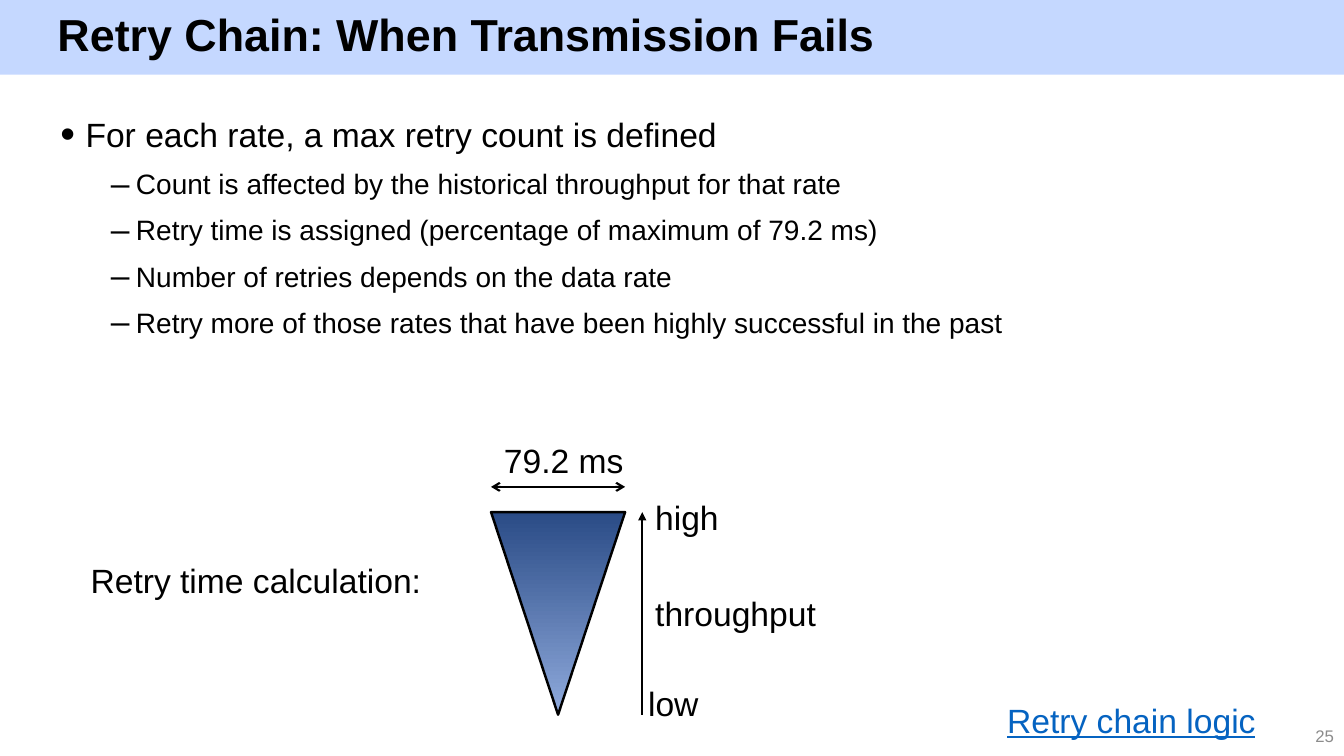
"""Build the slide explaining the retry chain and its retry time calculation."""
import dataclasses
import typing

import pptx
import pptx.dml.color
import pptx.enum.dml
import pptx.enum.shapes
import pptx.enum.text
import pptx.oxml
import pptx.oxml.ns
import pptx.presentation
import pptx.shapes.connector
import pptx.slide
import pptx.text.text
import pptx.util
from lxml import etree

Inches = pptx.util.Inches
Pt = pptx.util.Pt
RGBColor = pptx.dml.color.RGBColor

BLACK = RGBColor(0x00, 0x00, 0x00)
GRAY = RGBColor(0x8C, 0x8C, 0x8C)
LINK_BLUE = RGBColor(0x05, 0x63, 0xC1)
BAND_BLUE = RGBColor(0xC5, 0xD8, 0xFF)
DARK_BLUE = RGBColor(0x2A, 0x4B, 0x86)
LIGHT_BLUE = RGBColor(0x8F, 0xAA, 0xDC)
FONT = "Arial"
SLIDE_WIDTH = 13.33
BAND_HEIGHT = 0.74
FUNNEL_LEFT, FUNNEL_TOP = 4.87, 5.08
FUNNEL_WIDTH, FUNNEL_HEIGHT = 1.33, 2.01


@dataclasses.dataclass(frozen=True)
class Label:
    text: str
    left: float
    top: float
    width: float
    height: float = 0.5
    size: int = 24
    color: RGBColor = BLACK
    underline: bool = False
    align: pptx.enum.text.PP_ALIGN = pptx.enum.text.PP_ALIGN.LEFT
    anchor: pptx.enum.text.MSO_ANCHOR = pptx.enum.text.MSO_ANCHOR.TOP


@dataclasses.dataclass(frozen=True)
class Arrow:
    start: tuple[float, float]
    end: tuple[float, float]
    head: typing.Optional[str]
    tail: str


@dataclasses.dataclass(frozen=True)
class BulletStyle:
    character: str
    percent: int
    indent: float
    size: int


BULLET_STYLES = (BulletStyle("•", 125, 0.25, 24), BulletStyle("–", 120, 0.75, 20))
BULLETS = (
    (0, "For each rate, a max retry count is defined"),
    (1, "Count is affected by the historical throughput for that rate"),
    (1, "Retry time is assigned (percentage of maximum of 79.2 ms)"),
    (1, "Number of retries depends on the data rate"),
    (1, "Retry more of those rates that have been highly successful in the past"),
)
LABELS = (
    Label("25", 10.33, 7.1, 3, 0.4, 12, GRAY, False,
          pptx.enum.text.PP_ALIGN.RIGHT, pptx.enum.text.MSO_ANCHOR.MIDDLE),
    Label("Retry chain logic", 9.89, 6.89, 3.08, color=LINK_BLUE, underline=True),
    Label("79.2 ms", 4.9, 4.32, 1.56),
    Label("low", 6.33, 6.73, 1.33),
    Label("throughput", 6.4, 5.83, 2.09),
    Label("high", 6.4, 4.88, 1.33),
    Label("Retry time calculation:", 0.8, 5.51, 3.76),
)
ARROWS = (
    Arrow((6.37, FUNNEL_TOP + FUNNEL_HEIGHT), (6.37, FUNNEL_TOP), None, "triangle"),
    Arrow((FUNNEL_LEFT, 4.83), (FUNNEL_LEFT + FUNNEL_WIDTH, 4.83), "arrow", "arrow"),
)


def format_runs(paragraph: pptx.text.text._Paragraph, size: int, color: RGBColor,
                bold: bool = False, underline: bool = False) -> None:
    for run in paragraph.runs:
        run.font.name = FONT
        run.font.size = Pt(size)
        run.font.bold = bold
        run.font.underline = underline
        run.font.color.rgb = color


def add_band(slide: pptx.slide.Slide) -> None:
    band = slide.shapes.add_shape(
        pptx.enum.shapes.MSO_SHAPE.RECTANGLE,
        0, 0, Inches(SLIDE_WIDTH), Inches(BAND_HEIGHT))
    band.shadow.inherit = False
    band.fill.solid()
    band.fill.fore_color.rgb = BAND_BLUE
    band.line.fill.background()
    slide.shapes._spTree.insert(2, band._element)


def set_title(slide: pptx.slide.Slide, text: str) -> None:
    title = slide.shapes.title
    title.left, title.top = Inches(0.33), Inches(0)
    title.width, title.height = Inches(12.33), Inches(BAND_HEIGHT)
    frame = title.text_frame
    frame.text = text
    frame.word_wrap = True
    frame.auto_size = pptx.enum.text.MSO_AUTO_SIZE.NONE
    frame.vertical_anchor = pptx.enum.text.MSO_ANCHOR.MIDDLE
    frame.margin_left, frame.margin_right = Inches(0.24), Inches(0.2)
    paragraph = frame.paragraphs[0]
    paragraph.alignment = pptx.enum.text.PP_ALIGN.LEFT
    paragraph.line_spacing = 0.9
    format_runs(paragraph, 32, BLACK, bold=True)


def add_bullets(slide: pptx.slide.Slide) -> None:
    box = slide.shapes.add_textbox(Inches(0.5), Inches(1.08), Inches(11.92), Inches(5.83))
    frame = box.text_frame
    frame.word_wrap = True
    frame.text = "\n".join(text for _, text in BULLETS)
    for index, (level, _) in enumerate(BULLETS):
        paragraph = frame.paragraphs[index]
        style = BULLET_STYLES[level]
        paragraph.level = level
        properties = paragraph._p.get_or_add_pPr()
        properties.set("marL", str(Inches(style.indent)))
        properties.set("indent", str(Inches(-0.25)))
        for tag, name, value in (
                ("a:buSzPct", "val", str(style.percent * 1000)),
                ("a:buFont", "typeface", FONT),
                ("a:buChar", "char", style.character)):
            etree.SubElement(properties, pptx.oxml.ns.qn(tag)).set(name, value)
        paragraph.space_before = Pt(9 if index else 0)
        format_runs(paragraph, style.size, BLACK)


def add_label(slide: pptx.slide.Slide, label: Label) -> None:
    box = slide.shapes.add_textbox(
        Inches(label.left), Inches(label.top), Inches(label.width), Inches(label.height))
    frame = box.text_frame
    frame.word_wrap = True
    frame.vertical_anchor = label.anchor
    frame.text = label.text
    paragraph = frame.paragraphs[0]
    paragraph.alignment = label.align
    format_runs(paragraph, label.size, label.color, underline=label.underline)


def add_funnel(slide: pptx.slide.Slide) -> None:
    funnel = slide.shapes.add_shape(
        pptx.enum.shapes.MSO_SHAPE.ISOSCELES_TRIANGLE, Inches(FUNNEL_LEFT),
        Inches(FUNNEL_TOP), Inches(FUNNEL_WIDTH), Inches(FUNNEL_HEIGHT))
    funnel.rotation = 180
    funnel.shadow.inherit = False
    funnel.fill.gradient()
    funnel.fill.gradient_angle = 90
    for stop, color, position in zip(
            funnel.fill.gradient_stops, (DARK_BLUE, LIGHT_BLUE), (0, 1)):
        stop.color.rgb = color
        stop.position = position
    funnel.line.color.rgb = BLACK
    funnel.line.width = Pt(1.75)


def add_arrow(slide: pptx.slide.Slide, arrow: Arrow) -> None:
    connector = slide.shapes.add_connector(
        pptx.enum.shapes.MSO_CONNECTOR.STRAIGHT,
        *(Inches(value) for value in arrow.start + arrow.end))
    connector.line.color.rgb = BLACK
    connector.line.width = Pt(1.5)
    line = connector.line._get_or_add_ln()
    for tag, kind in (("a:headEnd", arrow.head), ("a:tailEnd", arrow.tail)):
        if kind:
            etree.SubElement(line, pptx.oxml.ns.qn(tag)).set("type", kind)
    etree.SubElement(connector._element.spPr, pptx.oxml.ns.qn("a:effectLst"))


def main() -> None:
    presentation = pptx.Presentation()
    presentation.slide_width = Inches(SLIDE_WIDTH)
    presentation.slide_height = Inches(7.5)
    slide = presentation.slides.add_slide(presentation.slide_layouts[5])
    add_band(slide)
    set_title(slide, "Retry Chain: When Transmission Fails")
    add_bullets(slide)
    add_funnel(slide)
    for arrow in ARROWS:
        add_arrow(slide, arrow)
    for label in LABELS:
        add_label(slide, label)
    presentation.save("out.pptx")


if __name__ == "__main__":
    main()
